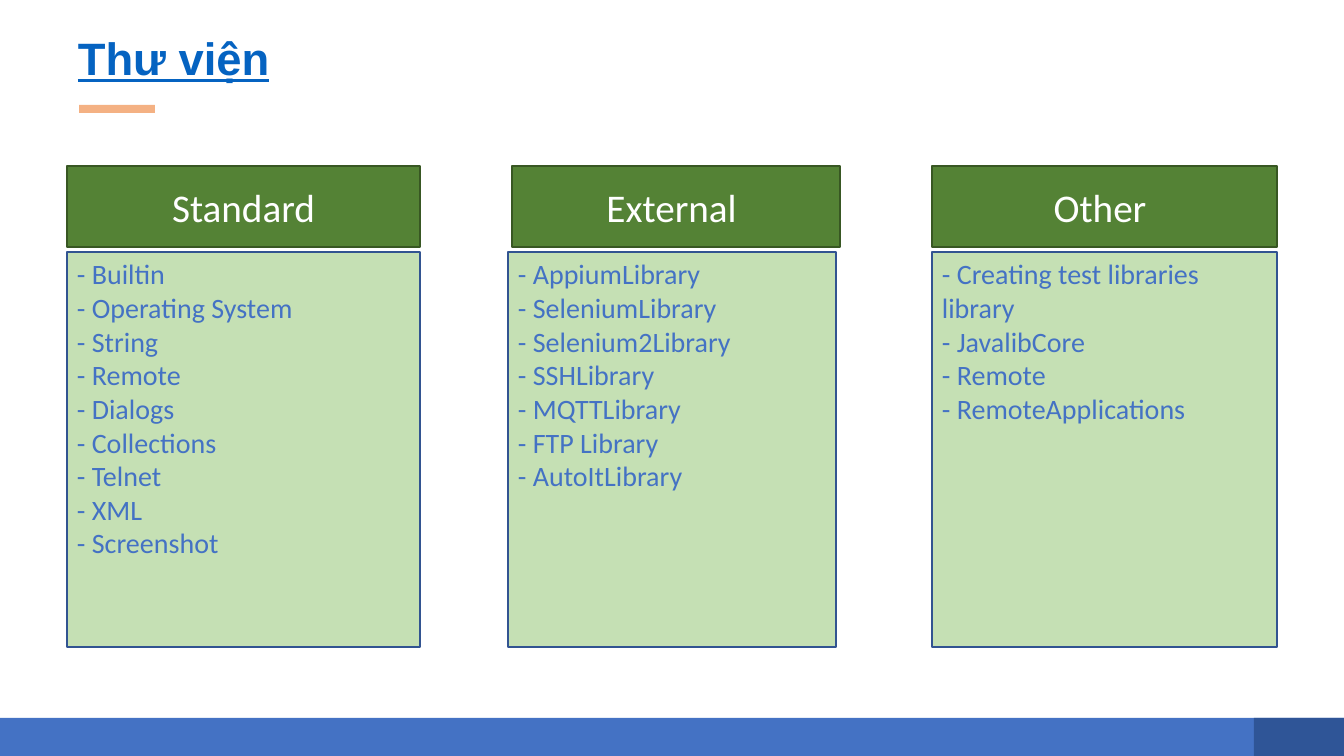
import pptx
import pptx.dml.color
import pptx.enum.shapes
import pptx.enum.text
import pptx.util

RGB = pptx.dml.color.RGBColor
ALIGN = pptx.enum.text.PP_ALIGN
ANCHOR = pptx.enum.text.MSO_ANCHOR
RECTANGLE = pptx.enum.shapes.MSO_SHAPE.RECTANGLE

EMU_PER_PX = 914400 / 100.8
PAGE_WIDTH, PAGE_HEIGHT = 1344, 756

WHITE = RGB(0xFF, 0xFF, 0xFF)
BLUE = RGB(0x44, 0x72, 0xC4)
DARK_BLUE = RGB(0x2F, 0x55, 0x97)
OUTLINE_BLUE = RGB(0x32, 0x54, 0x91)
LINK_BLUE = RGB(0x05, 0x63, 0xC1)
ORANGE = RGB(0xF4, 0xB1, 0x83)
GREEN = RGB(0x54, 0x82, 0x35)
DARK_GREEN = RGB(0x38, 0x57, 0x23)
PALE_GREEN = RGB(0xC5, 0xE0, 0xB4)

TITLE_FONT = {"name": "Arial", "size": pptx.util.Pt(32.4), "bold": True, "underline": True}
HEADING_FONT = {"name": "Calibri", "size": pptx.util.Pt(28)}
LIST_FONT = {"name": "Calibri", "size": pptx.util.Pt(20)}

HEADING_HEIGHT = 81
LIST_OFFSET = 86
COLUMNS = [
    {"box": (67, 166, 353, 481), "shift": 0, "heading": "Standard",
     "items": ["Builtin", "Operating System", "String", "Remote", "Dialogs",
               "Collections", "Telnet", "XML", "Screenshot"]},
    {"box": (508, 166, 328, 481), "shift": 4, "heading": "External ",
     "items": ["AppiumLibrary", "SeleniumLibrary", "Selenium2Library", "SSHLibrary",
               "MQTTLibrary", "FTP Library", "AutoItLibrary"]},
    {"box": (932, 166, 345, 481), "shift": 0, "heading": "Other ",
     "items": ["Creating test libraries library", "JavalibCore", "Remote",
               "RemoteApplications"]},
]


def px(length):
    """Turn pixels into EMU."""
    return pptx.util.Emu(round(length * EMU_PER_PX))


def add_rectangle(page, box, fill, line=None):
    """Draw a flat rectangle, outlined if a line colour is given."""
    shape = page.shapes.add_shape(RECTANGLE, *map(px, box))
    shape.shadow.inherit = False
    shape.fill.solid()
    shape.fill.fore_color.rgb = fill
    if line is None:
        shape.line.fill.background()
    else:
        shape.line.color.rgb = line
        shape.line.width = pptx.util.Pt(1)
    return shape


def write_lines(shape, lines, font, color, align, anchor, spacing=1.0):
    """Write one paragraph per line with a shared format."""
    frame = shape.text_frame
    frame.word_wrap = True
    frame.vertical_anchor = anchor
    for index, line in enumerate(lines):
        para = frame.add_paragraph() if index else frame.paragraphs[0]
        para.alignment = align
        para.line_spacing = spacing
        span = para.add_run()
        span.text = line
        for name, value in font.items():
            setattr(span.font, name, value)
        span.font.color.rgb = color


def add_footer(page, box):
    """Draw the bottom band with its darker right end."""
    left, top, width, height = box
    corner = 90
    add_rectangle(page, box, BLUE)
    add_rectangle(page, (left + width - corner, top, corner, height), DARK_BLUE)


def add_title(page, box):
    """Place the title and the short accent bar below it."""
    left, top, width, height = box
    add_rectangle(page, (left + 11, top + 76, 76, 8), ORANGE)
    title = page.shapes.add_textbox(*map(px, (left, top, width, height)))
    write_lines(title, ["Thư viện"], TITLE_FONT, LINK_BLUE, ALIGN.LEFT, ANCHOR.MIDDLE, 0.9)


def add_column(page, box, shift, heading, items):
    """Place a heading bar over a panel that lists libraries."""
    left, top, width, height = box
    bar = add_rectangle(page, (left + shift, top, width, HEADING_HEIGHT), GREEN, DARK_GREEN)
    write_lines(bar, [heading], HEADING_FONT, WHITE, ALIGN.CENTER, ANCHOR.MIDDLE)
    panel = add_rectangle(page, (left, top + LIST_OFFSET, width, height - LIST_OFFSET),
                          PALE_GREEN, OUTLINE_BLUE)
    lines = [f"- {item}" for item in items]
    write_lines(panel, lines, LIST_FONT, BLUE, ALIGN.LEFT, ANCHOR.TOP)


def main():
    """Build the library slide and save it."""
    deck = pptx.Presentation()
    deck.slide_width, deck.slide_height = px(PAGE_WIDTH), px(PAGE_HEIGHT)
    page = deck.slides.add_slide(deck.slide_layouts[6])
    add_footer(page, (0, 718, PAGE_WIDTH, 38))
    add_title(page, (68, 29, 1208, 64))
    for column in COLUMNS:
        add_column(page, **column)
    deck.save("out.pptx")


if __name__ == "__main__":
    main()
